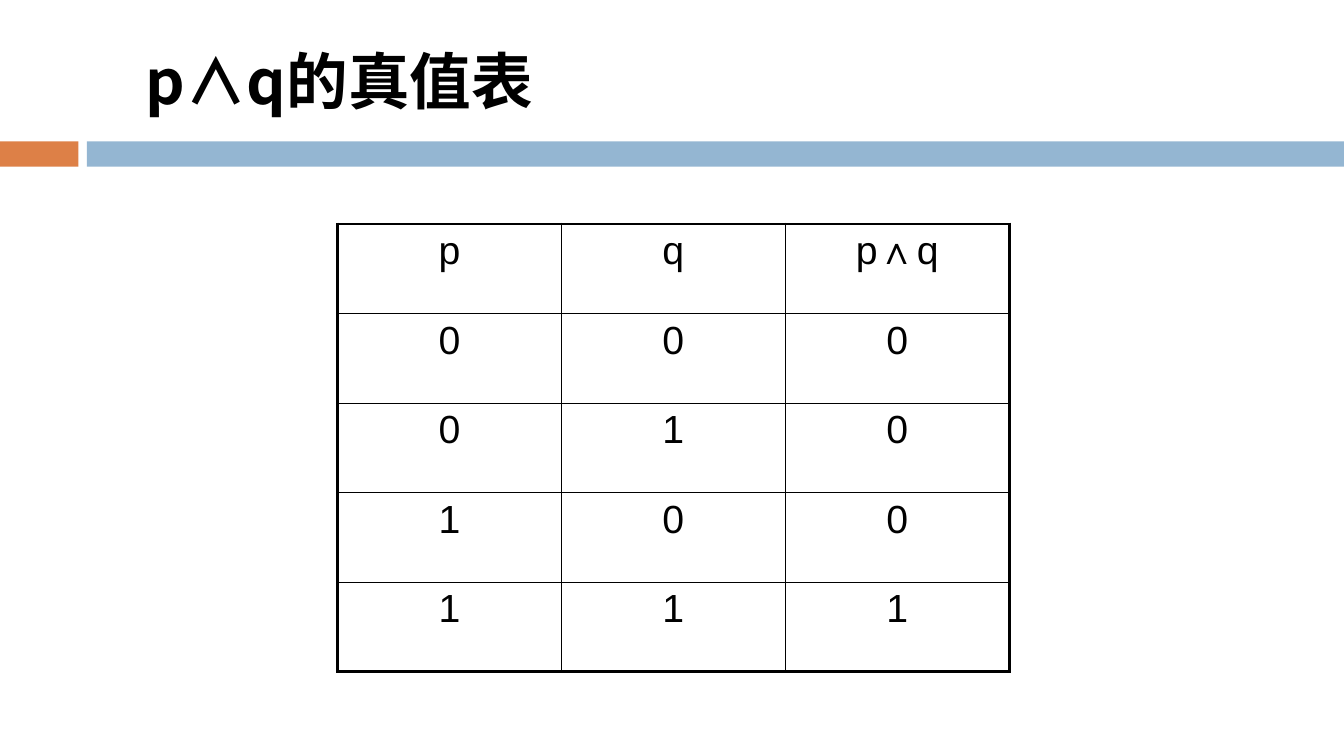
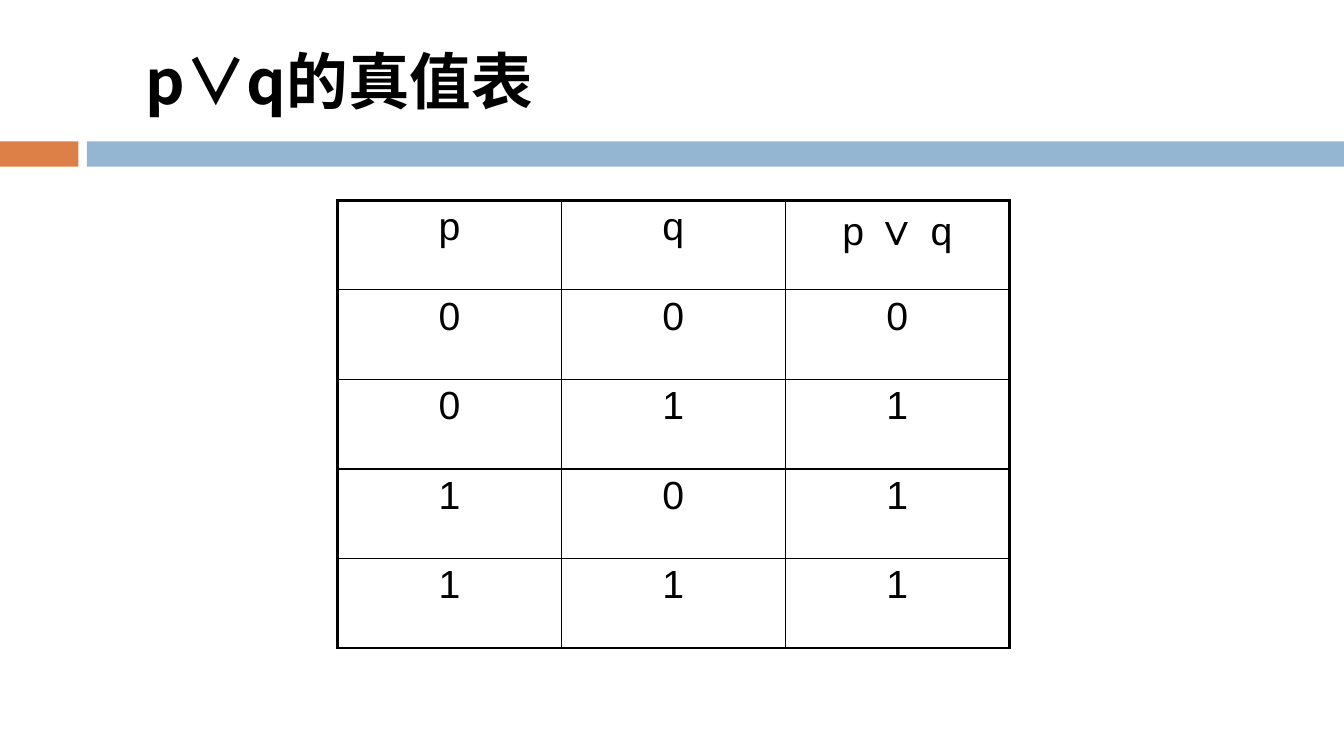
from dataclasses import dataclass
from itertools import product
from typing import Callable

from lxml import etree
from pptx import Presentation
from pptx import util as u
from pptx.dml.color import RGBColor
from pptx.enum import shapes, text
from pptx.oxml import ns

COLORS = {"ink": "000000", "accent": "DD8047", "bar": "94B6D2"}
TITLE = {"name": "Noto Sans CJK SC", "size": u.Pt(44), "bold": True}
CELL = {"name": "Arial", "size": u.Pt(28), "bold": False}
BIG_SIGN = {**CELL, "size": u.Pt(32)}

SLIDE_W, SLIDE_H = 960, 540
TABLE_LEFT, COL_W, ROW_H = 241, 160, 64
OUTER, INNER = 2.25, 1


@dataclass(frozen=True)
class Band:
    left: float
    width: float
    color: str


@dataclass(frozen=True)
class TruthTable:
    title: str
    top: float
    header: tuple[tuple[str, dict], ...]
    rule: Callable[[int, int], int]


BANDS = (Band(0, 56, "accent"), Band(62, SLIDE_W - 62, "bar"))
TABLES = (
    TruthTable("p∧q的真值表", 160, (("p∧q", CELL),), min),
    TruthTable("p∨q的真值表", 143, (("p ", CELL), ("∨", BIG_SIGN), (" q", CELL)), max),
)


def rgb(name: str) -> RGBColor:
    return RGBColor.from_string(COLORS[name])


def add_run(p, content: str, fmt: dict) -> None:
    r = p.add_run()
    r.text = content
    for key, value in fmt.items():
        setattr(r.font, key, value)
    r.font.color.rgb = rgb("ink")
    ea = etree.SubElement(r.font._element, ns.qn("a:ea"))
    ea.set("typeface", fmt["name"])


def add_band(s, band: Band) -> None:
    sp = s.shapes.add_shape(shapes.MSO_SHAPE.RECTANGLE, u.Pt(band.left), u.Pt(101),
                            u.Pt(band.width), u.Pt(18))
    sp.shadow.inherit = False
    sp.fill.solid()
    sp.fill.fore_color.rgb = rgb(band.color)
    sp.line.fill.background()


def add_title(s, title: str) -> None:
    tf = s.shapes.add_textbox(u.Pt(97), u.Pt(18), u.Pt(768), u.Pt(78)).text_frame
    tf.word_wrap = True
    tf.vertical_anchor = text.MSO_ANCHOR.MIDDLE
    add_run(tf.paragraphs[0], title, TITLE)


def set_borders(cell, outer_sides: dict[str, bool]) -> None:
    tc_pr = cell._tc.get_or_add_tcPr()
    for side, is_outer in outer_sides.items():
        ln = etree.SubElement(tc_pr, ns.qn(f"a:ln{side}"))
        ln.set("w", str(u.Pt(OUTER if is_outer else INNER)))
        fill = etree.SubElement(ln, ns.qn("a:solidFill"))
        etree.SubElement(fill, ns.qn("a:srgbClr")).set("val", COLORS["ink"])


def add_truth_table(s, spec: TruthTable) -> None:
    rows = [[(("p", CELL),), (("q", CELL),), spec.header]]
    for a, b in product((0, 1), repeat=2):
        rows.append([((str(v), CELL),) for v in (a, b, spec.rule(a, b))])
    n_rows, n_cols = len(rows), len(rows[0])
    table = s.shapes.add_table(n_rows, n_cols, u.Pt(TABLE_LEFT), u.Pt(spec.top),
                               u.Pt(n_cols * COL_W), u.Pt(n_rows * ROW_H)).table
    table.first_row = table.horz_banding = False
    for i, row in enumerate(rows):
        for j, runs in enumerate(row):
            cell = table.cell(i, j)
            set_borders(cell, {"L": j == 0, "R": j == n_cols - 1,
                               "T": i == 0, "B": i == n_rows - 1})
            cell.fill.background()
            p = cell.text_frame.paragraphs[0]
            p.alignment = text.PP_ALIGN.CENTER
            for content, fmt in runs:
                add_run(p, content, fmt)


def main() -> None:
    prs = Presentation()
    prs.slide_width, prs.slide_height = u.Pt(SLIDE_W), u.Pt(SLIDE_H)
    for spec in TABLES:
        s = prs.slides.add_slide(prs.slide_layouts[6])
        for band in BANDS:
            add_band(s, band)
        add_truth_table(s, spec)
        add_title(s, spec.title)
    prs.save("out.pptx")


if __name__ == "__main__":
    main()
